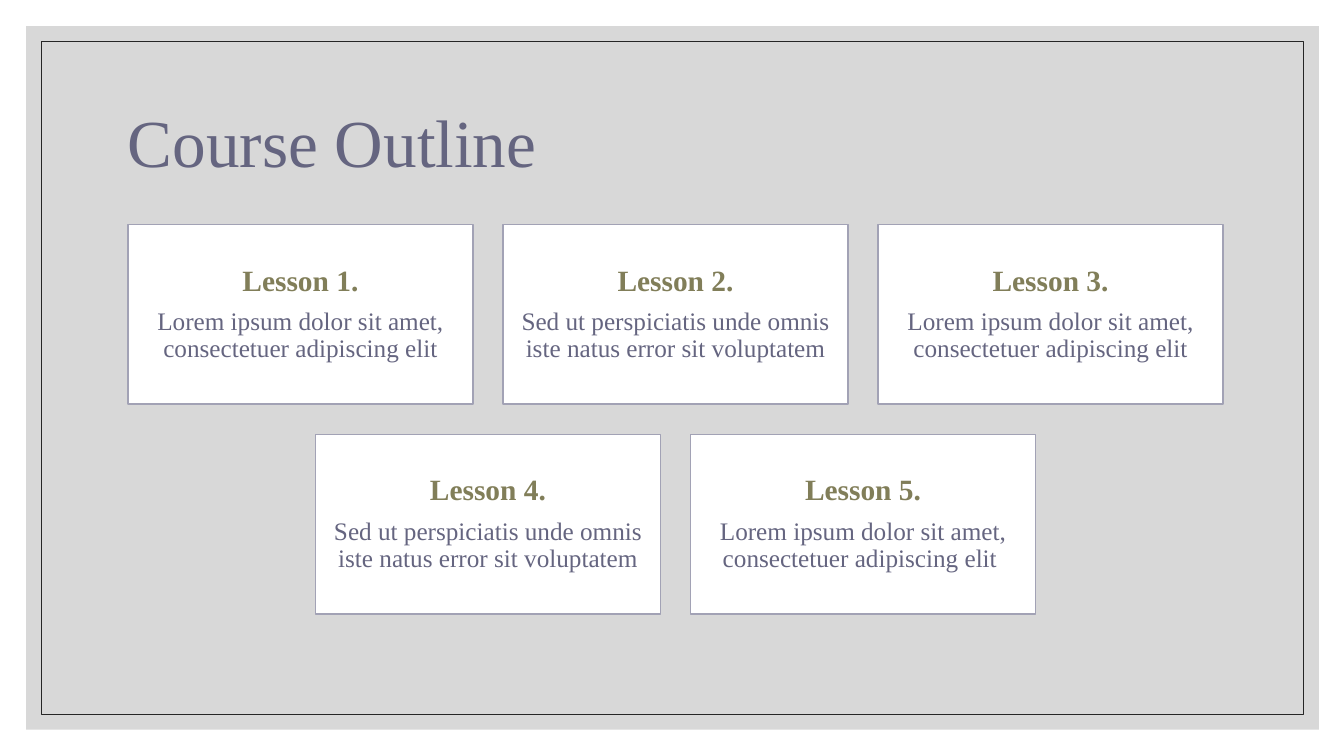
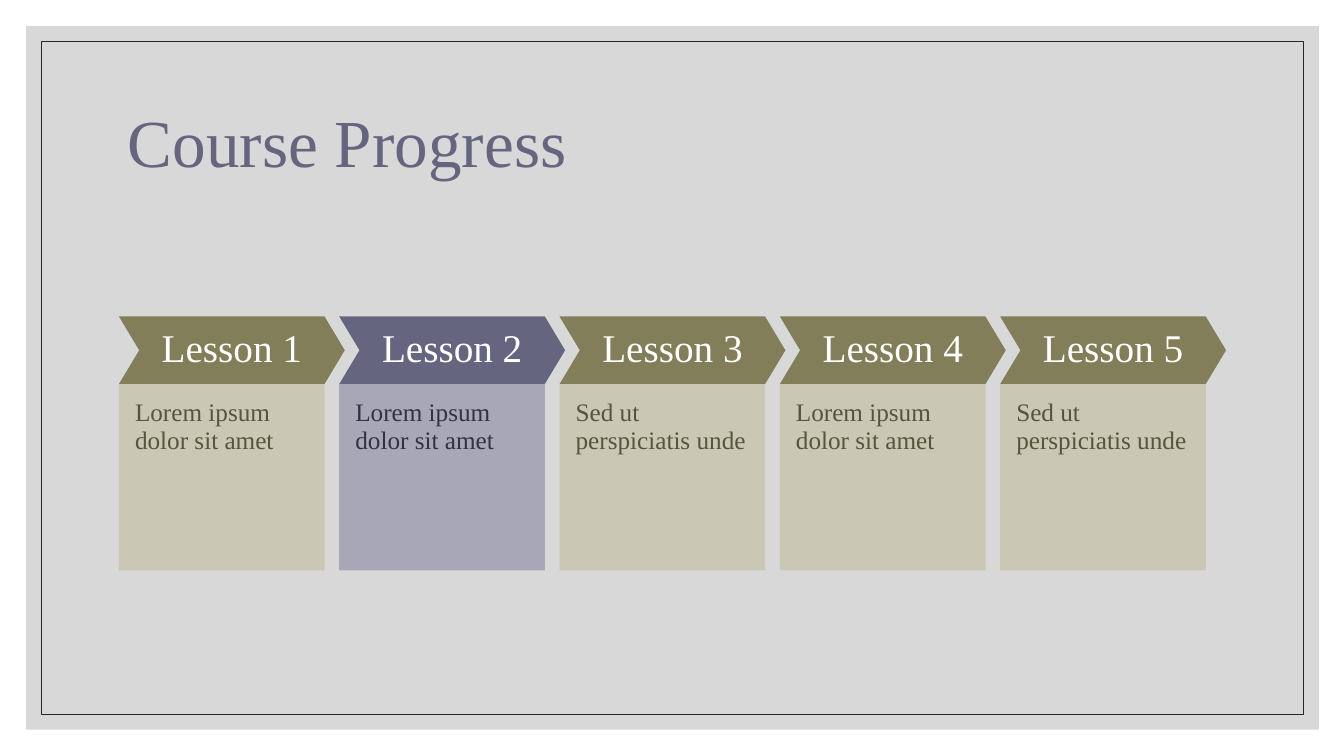
"""Build a course outline slide and a course progress slide."""
from dataclasses import dataclass

import pptx
import pptx.dml.color
import pptx.enum.shapes
import pptx.enum.text
import pptx.oxml
import pptx.oxml.ns
import pptx.util
from pptx.util import Inches

SHAPES = pptx.enum.shapes.MSO_SHAPE
ALIGN = pptx.enum.text.PP_ALIGN
ANCHOR = pptx.enum.text.MSO_ANCHOR


@dataclass(frozen=True)
class Theme:
    font: str = "Times New Roman"
    white: str = "FFFFFF"
    band: str = "BFBFBF"
    frame: str = "262626"
    violet: str = "656580"
    violet_light: str = "A2A2B5"
    violet_dark: str = "333340"
    olive: str = "817E59"
    olive_light: str = "C9C7B1"
    olive_dark: str = "56543B"
    title_size: int = 48
    step_size: int = 28
    heading_size: int = 21
    body_size: int = 18
    line_spacing: float = 0.9
    heading_gap: int = 8


THEME = Theme()


@dataclass(frozen=True)
class Box:
    left: float
    top: float
    width: float
    height: float


@dataclass(frozen=True)
class TextLine:
    text: str
    size: int
    color: str
    bold: bool = False
    space_after: int = 0


@dataclass(frozen=True)
class Lesson:
    heading: str
    summary: str


@dataclass(frozen=True)
class StepColors:
    arrow: str
    panel: str
    text: str


LOREM = "Lorem ipsum dolor sit amet, consectetuer adipiscing elit"
SED_UT = "Sed ut perspiciatis unde omnis iste natus error sit voluptatem"
LOREM_SHORT = "Lorem ipsum dolor sit amet"
SED_UT_SHORT = "Sed ut perspiciatis unde"

OUTLINE_ROWS = [
    [Lesson("Lesson 1.", LOREM), Lesson("Lesson 2.", SED_UT), Lesson("Lesson 3.", LOREM)],
    [Lesson("Lesson 4.", SED_UT), Lesson("Lesson 5.", LOREM + " ")],
]
PROGRESS_STEPS = [
    Lesson("Lesson 1", LOREM_SHORT),
    Lesson("Lesson 2", LOREM_SHORT),
    Lesson("Lesson 3", SED_UT_SHORT),
    Lesson("Lesson 4", LOREM_SHORT),
    Lesson("Lesson 5", SED_UT_SHORT),
]
CURRENT_STEP = 1

CARD = Box(1.27, 2.23, 3.42, 1.78)
CARD_GAP = 0.3
ARROW = Box(1.18, 3.14, 2.24, 0.67)
LAST_ARROW_LEFT = 9.92
PANEL_WIDTH = 2.04
PANEL_HEIGHT = 1.85
NORMAL_STEP = StepColors(THEME.olive, THEME.olive_light, THEME.olive_dark)
ACTIVE_STEP = StepColors(THEME.violet, THEME.violet_light, THEME.violet_dark)


def rgb(color: str) -> pptx.dml.color.RGBColor:
    return pptx.dml.color.RGBColor.from_string(color)


def add_box(slide, box: Box, fill: str = "", opacity: int = 100, line: str = "",
            line_width: float = 1, preset=SHAPES.RECTANGLE):
    shape = slide.shapes.add_shape(
        preset, Inches(box.left), Inches(box.top), Inches(box.width), Inches(box.height))
    shape.shadow.inherit = False
    if fill:
        shape.fill.solid()
        shape.fill.fore_color.rgb = rgb(fill)
    else:
        shape.fill.background()
    if opacity < 100:
        color = shape.fill._xPr.find(".//" + pptx.oxml.ns.qn("a:srgbClr"))
        alpha = pptx.oxml.parse_xml(
            f'<a:alpha {pptx.oxml.ns.nsdecls("a")} val="{opacity * 1000}"/>')
        color.append(alpha)
    if line:
        shape.line.color.rgb = rgb(line)
        shape.line.width = pptx.util.Pt(line_width)
    else:
        shape.line.fill.background()
    return shape


def write_text(shape, lines: list[TextLine], alignment=ALIGN.CENTER, anchor=ANCHOR.MIDDLE,
               margin_x: float = 0.08, margin_y: float = 0.08) -> None:
    frame = shape.text_frame
    frame.word_wrap = True
    frame.vertical_anchor = anchor
    frame.margin_left = frame.margin_right = Inches(margin_x)
    frame.margin_top = frame.margin_bottom = Inches(margin_y)
    frame.text = "\n".join(line.text for line in lines)
    for paragraph, line in zip(frame.paragraphs, lines):
        paragraph.alignment = alignment
        paragraph.line_spacing = THEME.line_spacing
        paragraph.space_after = pptx.util.Pt(line.space_after)
        for run in paragraph.runs:
            run.font.name = THEME.font
            run.font.size = pptx.util.Pt(line.size)
            run.font.bold = line.bold
            run.font.color.rgb = rgb(line.color)


def add_framed_slide(presentation, title: str):
    slide = presentation.slides.add_slide(presentation.slide_layouts[6])
    add_box(slide, Box(0.26, 0.26, 12.82, 6.98), fill=THEME.band, opacity=60)
    add_box(slide, Box(0.41, 0.41, 12.52, 6.68), line=THEME.frame, line_width=0.5)
    title_box = slide.shapes.add_textbox(Inches(1.17), Inches(0.7), Inches(11), Inches(1.5))
    write_text(title_box, [TextLine(title, THEME.title_size, THEME.violet)],
               alignment=ALIGN.LEFT, margin_x=0.1, margin_y=0.05)
    return slide


def add_card(slide, box: Box, lesson: Lesson) -> None:
    card = add_box(slide, box, fill=THEME.white, line=THEME.violet_light)
    write_text(card, [
        TextLine(lesson.heading, THEME.heading_size, THEME.olive, True, THEME.heading_gap),
        TextLine(lesson.summary, THEME.body_size, THEME.violet),
    ], margin_y=0.09)


def add_step(slide, left: float, lesson: Lesson, colors: StepColors) -> None:
    arrow = add_box(slide, Box(left, ARROW.top, ARROW.width, ARROW.height),
                    fill=colors.arrow, preset=SHAPES.CHEVRON)
    arrow.adjustments[0] = 0.3
    write_text(arrow, [TextLine(lesson.heading, THEME.step_size, THEME.white)])
    panel = add_box(slide, Box(left, ARROW.top + ARROW.height, PANEL_WIDTH, PANEL_HEIGHT),
                    fill=colors.panel, opacity=90)
    write_text(panel, [TextLine(lesson.summary, THEME.body_size, colors.text)],
               alignment=ALIGN.LEFT, anchor=ANCHOR.TOP, margin_x=0.16, margin_y=0.16)


def build_outline(presentation) -> None:
    slide = add_framed_slide(presentation, "Course Outline")
    pitch = CARD.width + CARD_GAP
    longest = max(len(row) for row in OUTLINE_ROWS)
    for row_index, row in enumerate(OUTLINE_ROWS):
        row_left = CARD.left + (longest - len(row)) * pitch / 2
        top = CARD.top + row_index * (CARD.height + CARD_GAP)
        for column, lesson in enumerate(row):
            box = Box(row_left + column * pitch, top, CARD.width, CARD.height)
            add_card(slide, box, lesson)


def build_progress(presentation) -> None:
    slide = add_framed_slide(presentation, "Course Progress")
    pitch = (LAST_ARROW_LEFT - ARROW.left) / (len(PROGRESS_STEPS) - 1)
    for index, lesson in enumerate(PROGRESS_STEPS):
        colors = ACTIVE_STEP if index == CURRENT_STEP else NORMAL_STEP
        add_step(slide, ARROW.left + index * pitch, lesson, colors)


def main() -> None:
    presentation = pptx.Presentation()
    presentation.slide_width = Inches(13.33)
    presentation.slide_height = Inches(7.5)
    build_outline(presentation)
    build_progress(presentation)
    presentation.save("out.pptx")


if __name__ == "__main__":
    main()
